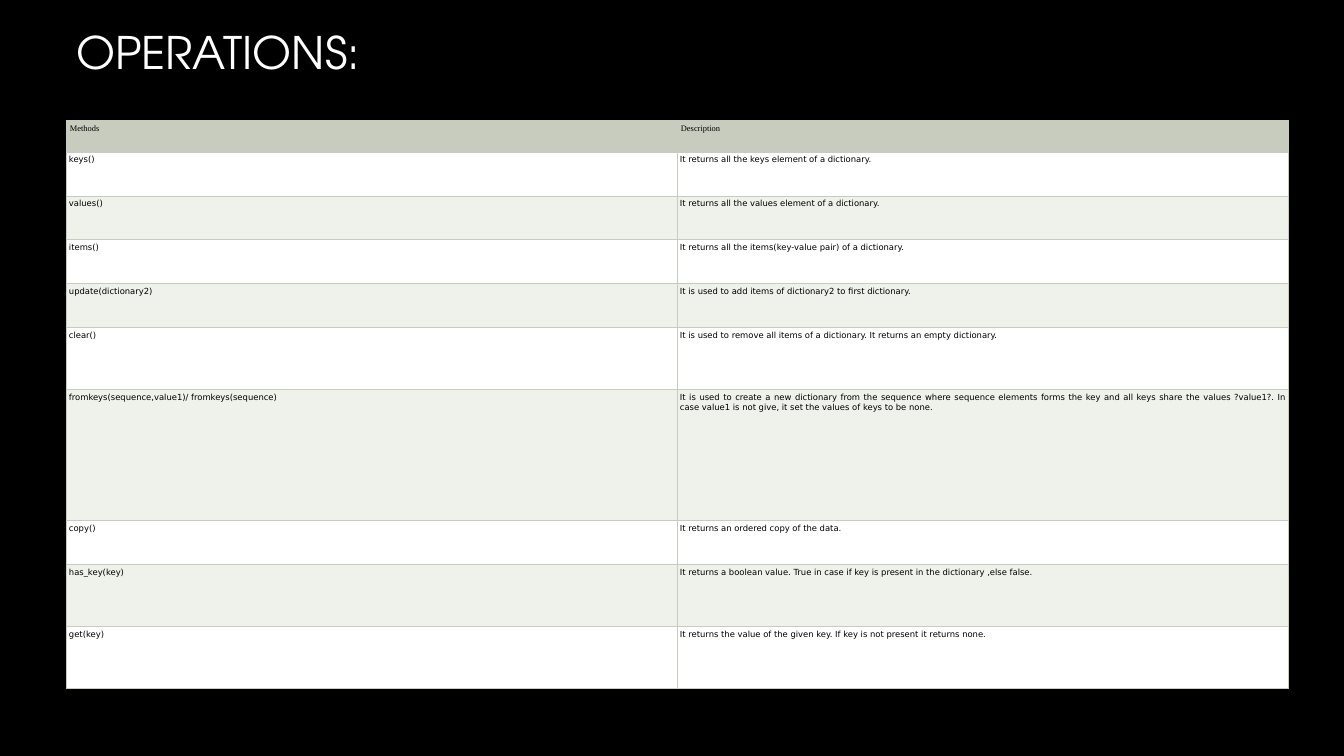
from dataclasses import dataclass

from lxml.etree import SubElement
from pptx import Presentation
from pptx.dml.color import RGBColor
from pptx.enum.text import MSO_ANCHOR as Anchor, MSO_AUTO_SIZE as AutoSize, PP_ALIGN as Align
from pptx.oxml.ns import qn
from pptx.util import Emu, Pt

PX = 914400 / 100.8


@dataclass(frozen=True)
class Theme:
    background: str = "000000"
    title_color: str = "FFFFFF"
    ink: str = "000000"
    accent: str = "C7CCBE"
    bands: tuple = ("FFFFFF", "EFF1EB")
    title_font: str = "TeX Gyre Adventor"
    header_font: str = "Times New Roman"
    body_font: str = "DejaVu Sans"
    title_size: int = 32
    table_size: int = 6
    border: float = 0.75
    thin_border: float = 0.38


THEME = Theme()

HEADER = ("Methods", "Description")
# Each method: name, description, row height in px
METHODS = [
    ("keys()", "It returns all the keys element of a dictionary.", 44),
    ("values()", "It returns all the values element of a dictionary.", 44),
    ("items()", "It returns all the items(key-value pair) of a dictionary.", 44),
    ("update(dictionary2)", "It is used to add items of dictionary2 to first dictionary.", 44),
    ("clear()", "It is used to remove all items of a dictionary. "
     "It returns an empty dictionary.", 62),
    ("fromkeys(sequence,value1)/ fromkeys(sequence)",
     "It is used to create a new dictionary from the sequence where sequence elements "
     "forms the key and all keys share the values ?value1?. In case value1 is not give, "
     "it set the values of keys to be none.", 131),
    ("copy()", "It returns an ordered copy of the data.", 44),
    ("has_key(key)", "It returns a boolean value. True in case if key is present "
     "in the dictionary ,else false.", 62),
    ("get(key)", "It returns the value of the given key. "
     "If key is not present it returns none.", 62),
]
HEADER_HEIGHT = 32
COLUMN_WIDTH = 611


def px(length):
    return Emu(round(length * PX))


def color(value):
    return RGBColor.from_string(value)


def add_span(para, text, font, size, ink):
    span = para.add_run()
    span.text = text
    span.font.name = font
    span.font.size = Pt(size)
    span.font.color.rgb = color(ink)


def set_title(page, text):
    box = page.shapes.title
    box.left, box.top, box.width, box.height = px(66), px(15), px(1152), px(74)
    frame = box.text_frame
    frame.auto_size = AutoSize.NONE
    frame.vertical_anchor = Anchor.MIDDLE
    para = frame.paragraphs[0]
    para.alignment = Align.LEFT
    add_span(para, text, THEME.title_font, THEME.title_size, THEME.title_color)


def set_borders(cell, side_width, bottom_width):
    properties = cell._tc.get_or_add_tcPr()
    for side in ("L", "R", "T", "B"):
        width = bottom_width if side == "B" else side_width
        line = SubElement(properties, qn(f"a:ln{side}"), w=str(Pt(width)))
        fill = SubElement(line, qn("a:solidFill"))
        SubElement(fill, qn("a:srgbClr"), val=THEME.accent)


def fill_cell(cell, text, font, fill, inset, align, side_width):
    set_borders(cell, side_width, THEME.border)
    cell.fill.solid()
    cell.fill.fore_color.rgb = color(fill)
    cell.margin_left = cell.margin_right = px(inset)
    cell.margin_top = cell.margin_bottom = px(inset)
    cell.vertical_anchor = Anchor.TOP
    para = cell.text_frame.paragraphs[0]
    para.alignment = align
    add_span(para, text, font, THEME.table_size, THEME.ink)


def add_methods_table(page, left, top):
    heights = [HEADER_HEIGHT] + [height for _, _, height in METHODS]
    table = page.shapes.add_table(
        len(heights), len(HEADER), px(left), px(top),
        px(COLUMN_WIDTH * len(HEADER)), px(sum(heights))).table
    table.first_row = table.horz_banding = False
    for column in table.columns:
        column.width = px(COLUMN_WIDTH)
    for row, height in zip(table.rows, heights):
        row.height = px(height)

    # Header row
    for cell, text in zip(table.rows[0].cells, HEADER):
        fill_cell(cell, text, THEME.header_font, THEME.accent, 4,
                  Align.LEFT, THEME.thin_border)

    # Method rows in alternating bands
    for index, (name, description, _) in enumerate(METHODS):
        band = THEME.bands[index % len(THEME.bands)]
        for cell, text in zip(table.rows[index + 1].cells, (name, description)):
            fill_cell(cell, text, THEME.body_font, band, 3,
                      Align.JUSTIFY, THEME.border)


def main():
    deck = Presentation()
    deck.slide_width, deck.slide_height = px(1344), px(756)
    page = deck.slides.add_slide(deck.slide_layouts.get_by_name("Title Only"))
    page.background.fill.solid()
    page.background.fill.fore_color.rgb = color(THEME.background)

    set_title(page, "OPERATIONS:")
    add_methods_table(page, 66, 120)
    deck.save("out.pptx")


if __name__ == "__main__":
    main()
